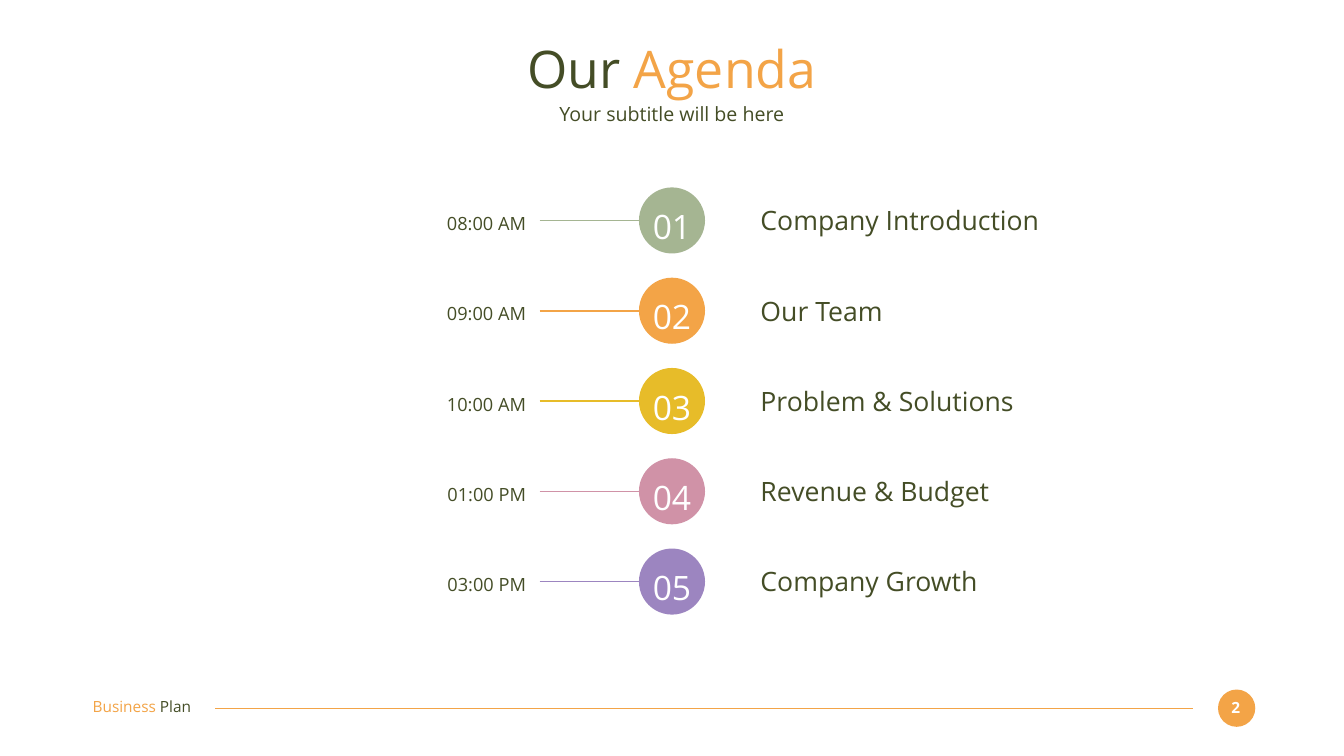
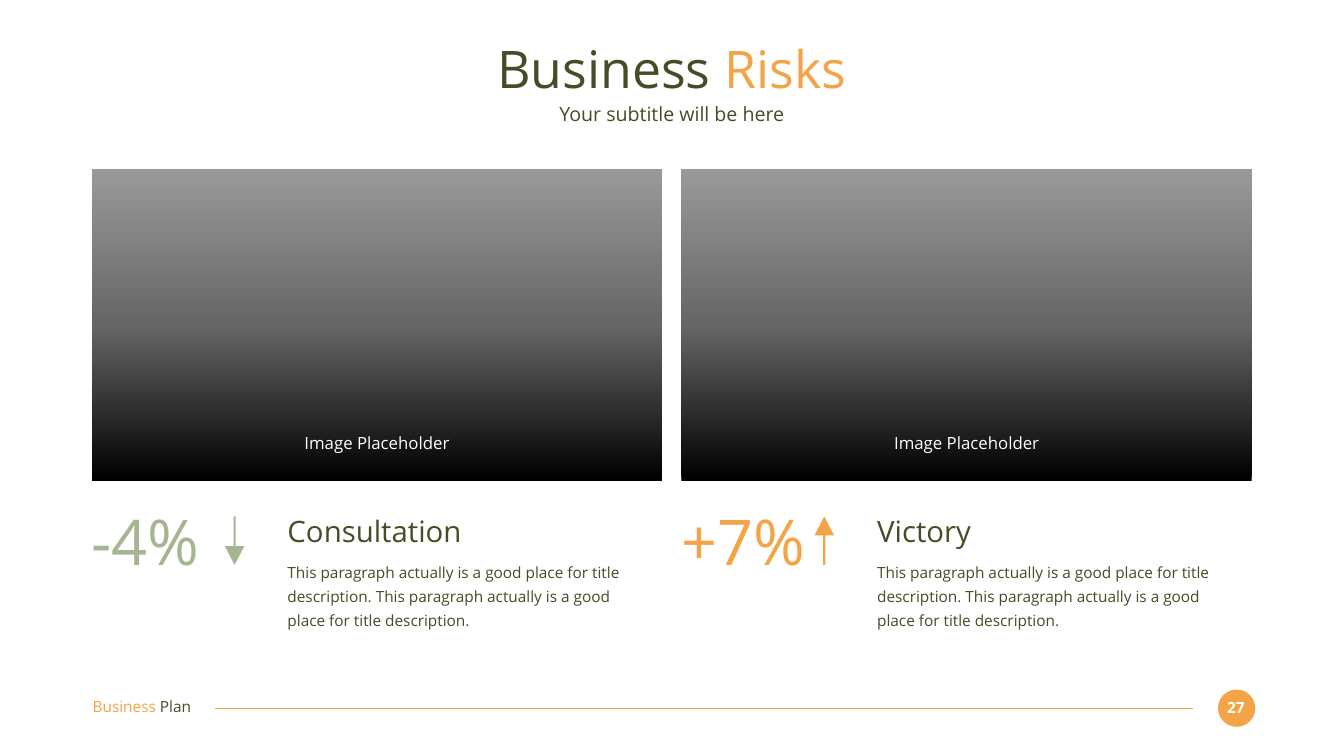
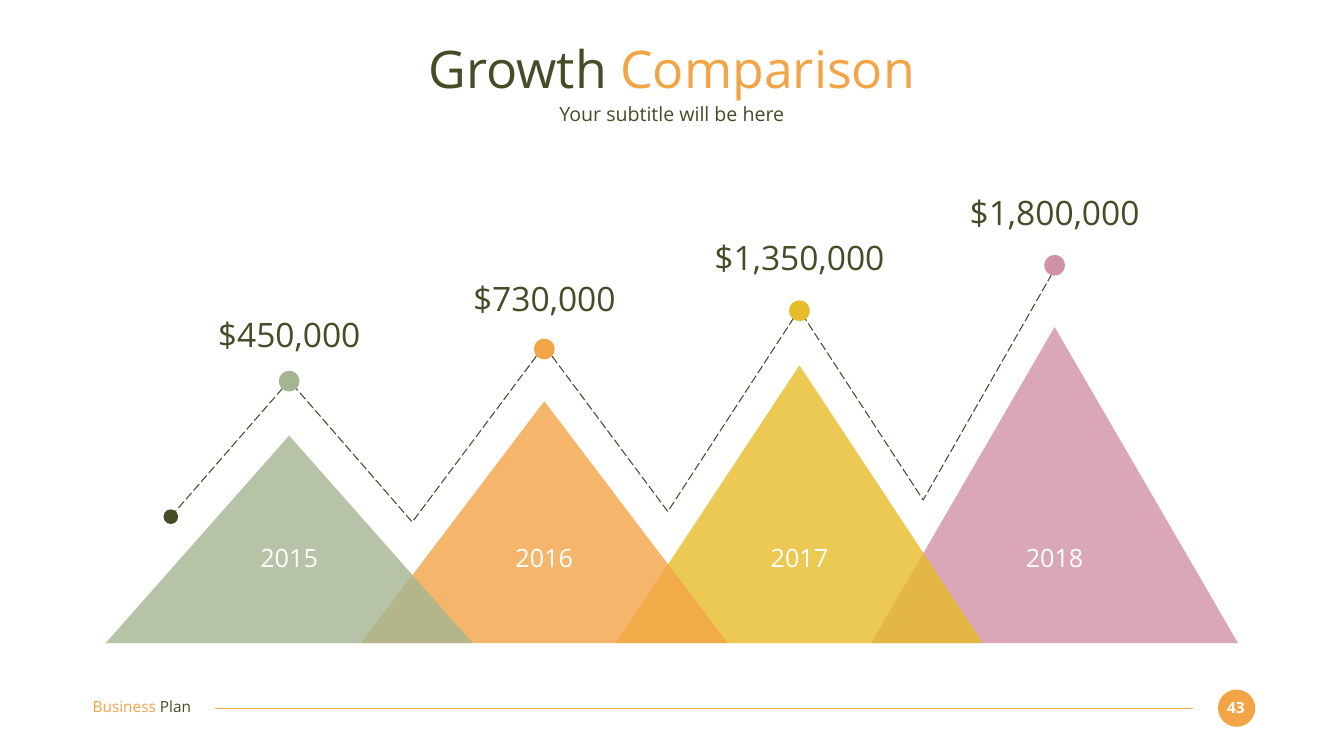
from copy import deepcopy
from pptx import Presentation
from pptx.dml.color import RGBColor
from pptx.enum.dml import MSO_LINE_DASH_STYLE as Dash
from pptx.enum.shapes import MSO_CONNECTOR as Link, MSO_SHAPE as Form
from pptx.enum.text import MSO_ANCHOR as Anchor, MSO_AUTO_SIZE as Fit, PP_ALIGN as Align
from pptx.oxml.ns import qn
from pptx.oxml.xmlchemy import OxmlElement as Node
from pptx.util import Cm, Pt

FONT = "Open Sans"
DARK, WHITE = "444D26", "FFFFFF"
GREEN, ORANGE, GOLD, PINK, PURPLE = "A5B592", "F3A447", "E7BC29", "D092A7", "9C85C0"
LEFT, MID, RIGHT = Align.LEFT, Align.CENTER, Align.RIGHT
BLURB = " ".join(["This paragraph actually is a good place for title description."] * 2)
SHADES = [(0, "000000"), (0.5, "666666"), (1, "999999")]

AGENDA = [
    ("08:00 AM", "Company Introduction", GREEN),
    ("09:00 AM", "Our Team", ORANGE),
    ("10:00 AM", "Problem & Solutions", GOLD),
    ("01:00 PM", "Revenue & Budget", PINK),
    ("03:00 PM", "Company Growth", PURPLE),
]
RISKS = [("-4%", "Consultation", GREEN, 0), ("+7%", "Victory", ORANGE, 180)]
PEAKS = [
    ("2015", "$450,000", GREEN, 10.46, 19.21, 15.82),
    ("2016", "$730,000", ORANGE, 12.19, 17.59, 14),
    ("2017", "$1,350,000", GOLD, 14, 15.66, 11.94),
    ("2018", "$1,800,000", PINK, 15.93, 13.37, 9.68),
]
TRAIL = [(8.61, 26.04), (14.58, 19.18), (20.78, 26.31), (27.43, 17.42),
         (33.66, 25.78), (40.28, 15.6), (46.53, 25.2), (53.16, 13.56)]


def tint(color, value):
    color.rgb = RGBColor.from_string(value)


def place(shape, x, y, w, h):
    shape.left, shape.top, shape.width, shape.height = Cm(x), Cm(y), Cm(w), Cm(h)


def write(frame, *runs, size, color=DARK, align=LEFT, bold=False, space=1):
    frame.word_wrap = True
    frame.auto_size = Fit.NONE
    frame.vertical_anchor = Anchor.TOP
    frame.margin_left = frame.margin_right = frame.margin_top = frame.margin_bottom = 0
    para = frame.paragraphs[0]
    para.alignment, para.line_spacing = align, space
    para.space_before = Pt(0)
    for item in runs:
        words, hue = item if isinstance(item, tuple) else (item, color)
        run = para.add_run()
        run.text = words
        run.font.name, run.font.size, run.font.bold = FONT, Pt(size), bold
        tint(run.font.color, hue)


def label(slide, box, *runs, **style):
    write(slide.shapes.add_textbox(*map(Cm, box)).text_frame, *runs, **style)


def form(slide, kind, box, color=None, alpha=None):
    shape = slide.shapes.add_shape(kind, *map(Cm, box))
    shape.shadow.inherit = False
    shape.line.fill.background()
    if color:
        shape.fill.solid()
        tint(shape.fill.fore_color, color)
    if alpha:
        node = Node("a:alpha")
        node.set("val", str(alpha * 1000))
        shape._element.spPr.find(".//" + qn("a:srgbClr")).append(node)
    return shape


def dot(slide, x, y, size, color):
    form(slide, Form.OVAL, (x - size / 2, y - size / 2, size, size), color)


def rule(slide, start, end, y, color, width):
    line = slide.shapes.add_connector(Link.STRAIGHT, Cm(start), Cm(y), Cm(end), Cm(y))
    tint(line.line.color, color)
    line.line.width = Pt(width)
    line._element.spPr.append(Node("a:effectLst"))


def footer(slide, page, x, y):
    form(slide, Form.OVAL, (x + 56.72, y, 1.88, 1.88), ORANGE)
    label(slide, (x + 56.87, y + 0.43, 1.5, 0.94), str(page),
          size=22, color=WHITE, align=MID, bold=True)
    rule(slide, x + 55.45, x + 6.18, y + 0.94, ORANGE, 1.5)
    label(slide, (x, y + 0.4, 6.58, 0.94), ("Business ", ORANGE), "Plan", size=22)


def base(deck, first, last, page):
    slide = deck.slides.add_slide(deck.slide_layouts[1])
    title, body = slide.shapes.title, slide.placeholders[1]
    place(title, 4.65, 1.85, 58.42, 3.23)
    write(title.text_frame, first + " ", (last, ORANGE), size=74, align=MID)
    place(body, 4.65, 5.16, 58.42, 1.24)
    write(body.text_frame, "Your subtitle will be here", size=28, align=MID)
    props = body.text_frame.paragraphs[0]._p.get_or_add_pPr()
    props.set("marL", "0")
    props.set("indent", "0")
    props.append(Node("a:buNone"))
    footer(slide, page, 4.67, 34.75)
    return slide


def row(slide, x, y, num, time, topic, color):
    dot(slide, x + 16.34, y + 1.66, 3.33, color)
    rule(slide, x + 9.67, x + 14.68, y + 1.66, color, 2.25)
    label(slide, (x + 15.03, y + 0.52, 2.62, 2.46), f"{num:02}",
          size=48, color=WHITE, align=MID, space=1.2)
    label(slide, (x, y + 0.92, 8.99, 1.35), time, size=26, align=RIGHT, space=1.3)
    label(slide, (x + 20.8, y + 0.84, 15.98, 1.63), topic, size=38)


def card(slide, x, y, rate, head, color, turn):
    label(slide, (x + 9.87, y + 17.35, 17.58, 1.8), head, size=42)
    label(slide, (x + 9.87, y + 19.58, 17.58, 3.56), BLURB, size=22, space=1.3)
    label(slide, (x, y + 16.81, 6.48, 3.84), rate, size=90, color=color)
    arrow = form(slide, Form.DOWN_ARROW, (x + 6.71, y + 17.5, 0.99, 2.44), color)
    arrow.adjustments[0], arrow.adjustments[1] = 0.11, 0.96
    arrow.rotation = turn
    panel = form(slide, Form.RECTANGLE, (x, y, 28.75, 15.7))
    panel.fill.gradient()
    panel.fill.gradient_angle = 90
    stops = panel._element.spPr.find(".//" + qn("a:gsLst"))
    stops.append(deepcopy(stops[0]))
    for stop, (spot, shade) in zip(panel.fill.gradient_stops, SHADES):
        stop.position = spot
        tint(stop.color, shade)
    label(slide, (x + 5.44, y + 13.28, 17.88, 1.02), "Image Placeholder",
          size=24, color=WHITE, align=MID)


def trail(slide, points):
    spots = [(Cm(x), Cm(y)) for x, y in points]
    pen = slide.shapes.build_freeform(*spots[0])
    pen.add_line_segments(spots[1:], close=False)
    path = pen.convert_to_shape()
    path.shadow.inherit = False
    path.fill.background()
    tint(path.line.color, DARK)
    path.line.width = Pt(1.5)
    path.line.dash_style = Dash.LONG_DASH
    dot(slide, *points[0], 0.74, DARK)


def range_(slide, x, floor, step, width):
    spots = [(x + step * i, peak) for i, peak in enumerate(PEAKS)]
    for left, (year, cash, color, high, tip, top) in reversed(spots):
        form(slide, Form.ISOSCELES_TRIANGLE, (left, floor - high, width, high), color, 80)
    trail(slide, TRAIL)
    for left, (year, cash, color, high, tip, top) in spots:
        core = left + width / 2
        label(slide, (core - 3.06, floor - 5.08, 6.12, 1.55), year,
              size=36, color=WHITE, align=MID)
        label(slide, (core - 4.67, top, 9.35, 2.06), cash, size=48, align=MID)
        dot(slide, core, tip, 1.04, color)


def main():
    deck = Presentation()
    deck.slide_width, deck.slide_height = Cm(67.74), Cm(38.1)
    slide = base(deck, "Our", "Agenda", 2)
    for i, item in enumerate(AGENDA):
        row(slide, 17.53, 9.45 + 4.55 * i, i + 1, *item)
    slide = base(deck, "Business", "Risks", 27)
    for i, risk in enumerate(RISKS):
        card(slide, 4.62 + 29.72 * i, 8.53, *risk)
    slide = base(deck, "Growth", "Comparison", 43)
    range_(slide, 5.33, 32.41, 12.86, 18.49)
    deck.save("out.pptx")


if __name__ == "__main__":
    main()
